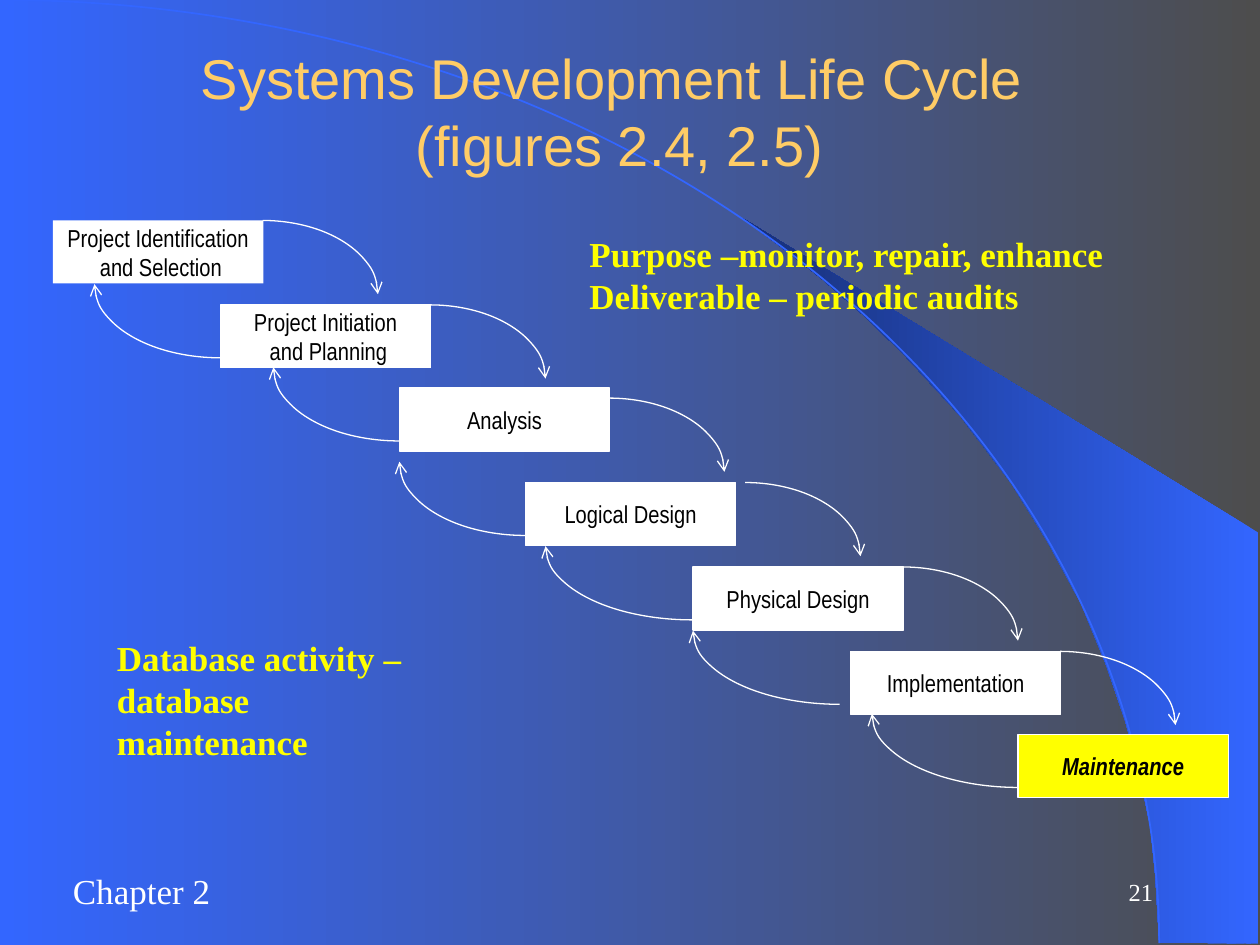
from lxml import etree
from pptx import Presentation
from pptx import util as u
from pptx.dml.color import RGBColor
from pptx.enum import shapes, text
from pptx.oxml.ns import qn

GRAY = RGBColor(0x4D, 0x4D, 0x4D)
BLUE = RGBColor(0x33, 0x66, 0xFF)
NAVY = RGBColor(0x17, 0x2F, 0x75)
GOLD = RGBColor(0xFF, 0xCC, 0x66)
YELLOW = RGBColor(0xFF, 0xFF, 0x00)
WHITE = RGBColor(0xFF, 0xFF, 0xFF)
BLACK = RGBColor(0, 0, 0)

SERIF, SANS, NARROW = "Times New Roman", "Arial", "Arial Narrow"
LEFT, CENTER, RIGHT = text.PP_ALIGN.LEFT, text.PP_ALIGN.CENTER, text.PP_ALIGN.RIGHT

BOX_W, BOX_H = 1.67, 0.5
ARC_W, ARC_H = 1.83, 1.17
QUARTER = 54.0  # 90 degrees, in the units of an arc's adjustments

# lines, box left, box top
STAGES = [
    (["Project Identification", " and Selection"], 0.42, 1.75),
    (["Project Initiation", " and Planning"], 1.75, 2.42),
    (["Analysis"], 3.17, 3.08),
    (["Logical Design"], 4.17, 3.83),
    (["Physical Design"], 5.5, 4.5),
    (["Implementation"], 6.75, 5.17),
    (["Maintenance"], 8.08, 5.83),
]
# shift of the forward arc (x, y), then left and width of the return arc
ARCS = [
    (0, 0, 0.75, 2),
    (0, 0, 2.17, 2),
    (0, 0.08, 3.17, 2),
    (0.08, 0, 4.33, 2.33),
    (0, 0, 5.5, 2.33),
    (0, 0, 6.92, 2.33),
]
SWOOSH = [
    (9.2, 7.48), (9.99, 7.49), (9.99, 4.23), (5.89, 1.73), (6.24, 1.99),
    (6.53, 2.22), (6.85, 2.5), (7.16, 2.8), (7.62, 3.3), (8.03, 3.84),
    (8.32, 4.31), (8.58, 4.79), (8.78, 5.28), (8.93, 5.72), (9.03, 6.09),
    (9.13, 6.56), (9.17, 6.96),
]


class SlideBuilder:
    def __init__(self, slide):
        self.s = slide

    def gradient(self, fill, start, end):
        """Run from start on the right to end on the left."""
        fill.gradient()
        fill.gradient_angle = 180
        for stop, color in zip(fill.gradient_stops, (start, end)):
            stop.color.rgb = color

    def add_lines(self, tf, lines, size, font, color, align=LEFT, bold=False, italic=False):
        for i, line in enumerate(lines):
            p = tf.paragraphs[0] if i == 0 else tf.add_paragraph()
            p.alignment = align
            for j, part in enumerate(line.split("\n")):
                if j:
                    p.add_line_break()
                r = p.add_run()
                r.text = part
                r.font.size, r.font.name = u.Pt(size), font
                r.font.bold, r.font.italic = bold, italic
                r.font.color.rgb = color

    def title(self, line, x, y, w, h):
        sp = self.s.shapes.title
        sp.left, sp.top, sp.width, sp.height = map(u.Inches, (x, y, w, h))
        tf = sp.text_frame
        tf.auto_size = text.MSO_AUTO_SIZE.NONE
        tf.vertical_anchor = text.MSO_ANCHOR.MIDDLE
        self.add_lines(tf, [line], 32, SANS, GOLD, CENTER)

    def text_box(self, lines, x, y, w, h, size=20, color=WHITE, align=LEFT,
                 bold=False, wrap=False, anchor=text.MSO_ANCHOR.TOP):
        sp = self.s.shapes.add_textbox(*map(u.Inches, (x, y, w, h)))
        tf = sp.text_frame
        tf.word_wrap = wrap
        tf.vertical_anchor = anchor
        self.add_lines(tf, lines, size, SERIF, color, align, bold)

    def stage(self, lines, x, y, outlined, current):
        sp = self.s.shapes.add_shape(
            shapes.MSO_SHAPE.RECTANGLE, *map(u.Inches, (x, y, BOX_W, BOX_H)))
        sp.shadow.inherit = False
        sp.fill.solid()
        sp.fill.fore_color.rgb = YELLOW if current else WHITE
        if outlined:
            sp.line.color.rgb, sp.line.width = WHITE, u.Pt(0.75)
        else:
            sp.line.fill.background()
        tf = sp.text_frame
        tf.word_wrap = False
        tf.vertical_anchor = text.MSO_ANCHOR.MIDDLE
        self.add_lines(tf, lines, 14, NARROW, BLACK, CENTER, current, current)

    def arc(self, x, y, w, h, color=WHITE, width=0.75, back=False, arrow=True):
        """A quarter ellipse: top to right, or bottom to left when back is set."""
        sp = self.s.shapes.add_shape(shapes.MSO_SHAPE.ARC, *map(u.Inches, (x, y, w, h)))
        sp.shadow.inherit = False
        sp.fill.background()
        sp.line.color.rgb, sp.line.width = color, u.Pt(width)
        if back:
            sp.adjustments[0], sp.adjustments[1] = QUARTER, 2 * QUARTER
        if arrow:
            ln = sp._element.spPr.find(qn("a:ln"))
            etree.SubElement(ln, qn("a:tailEnd"), type="arrow")
        return sp

    def swoosh(self):
        points = [(u.Inches(x), u.Inches(y)) for x, y in SWOOSH]
        fb = self.s.shapes.build_freeform(*points[0])
        fb.add_line_segments(points[1:], close=True)
        sp = fb.convert_to_shape()
        sp.shadow.inherit = False
        self.gradient(sp.fill, BLUE, NAVY)
        sp.line.fill.background()
        return sp

    def backdrop(self):
        self.gradient(self.s.background.fill, GRAY, BLUE)
        curve = (-9.2, 0, 18.4, 14.97)
        for sp in (self.swoosh(), self.arc(*curve, color=BLUE, width=1, arrow=False)):
            self.s.shapes.title._element.addprevious(sp._element)


def main():
    prs = Presentation()
    prs.slide_width, prs.slide_height = u.Inches(10), u.Inches(7.5)
    b = SlideBuilder(prs.slides.add_slide(prs.slide_layouts[5]))
    b.backdrop()
    b.title("Systems Development Life Cycle \n(figures 2.4, 2.5)", 0.67, 0.25, 8.5, 1.25)

    last = len(STAGES) - 1
    for i, (lines, x, y) in enumerate(STAGES):
        b.stage(lines, x, y, outlined=i > 0, current=i == last)
    for (_, x, y), (dx, dy, _, _) in zip(STAGES, ARCS):
        b.arc(x + 0.75 + dx, y + dy, ARC_W, ARC_H)
    for (_, _, y), (_, _, left, width) in zip(STAGES[1:], ARCS):
        b.arc(left, y - 0.75, width, ARC_H, back=True)

    b.text_box(["Purpose –monitor, repair, enhance", "Deliverable – periodic audits"],
               4.58, 1.8, 4.33, 0.77, color=YELLOW, bold=True)
    b.text_box(["Database activity –", "database maintenance"],
               0.83, 5, 2.83, 0.77, color=YELLOW, bold=True)
    b.text_box(["Chapter 2"], 0.48, 6.85, 1.29, 0.44)
    b.text_box(["21"], 7.17, 6.83, 2.08, 0.5, size=14, align=RIGHT, wrap=True,
               anchor=text.MSO_ANCHOR.MIDDLE)
    prs.save("out.pptx")


if __name__ == "__main__":
    main()
